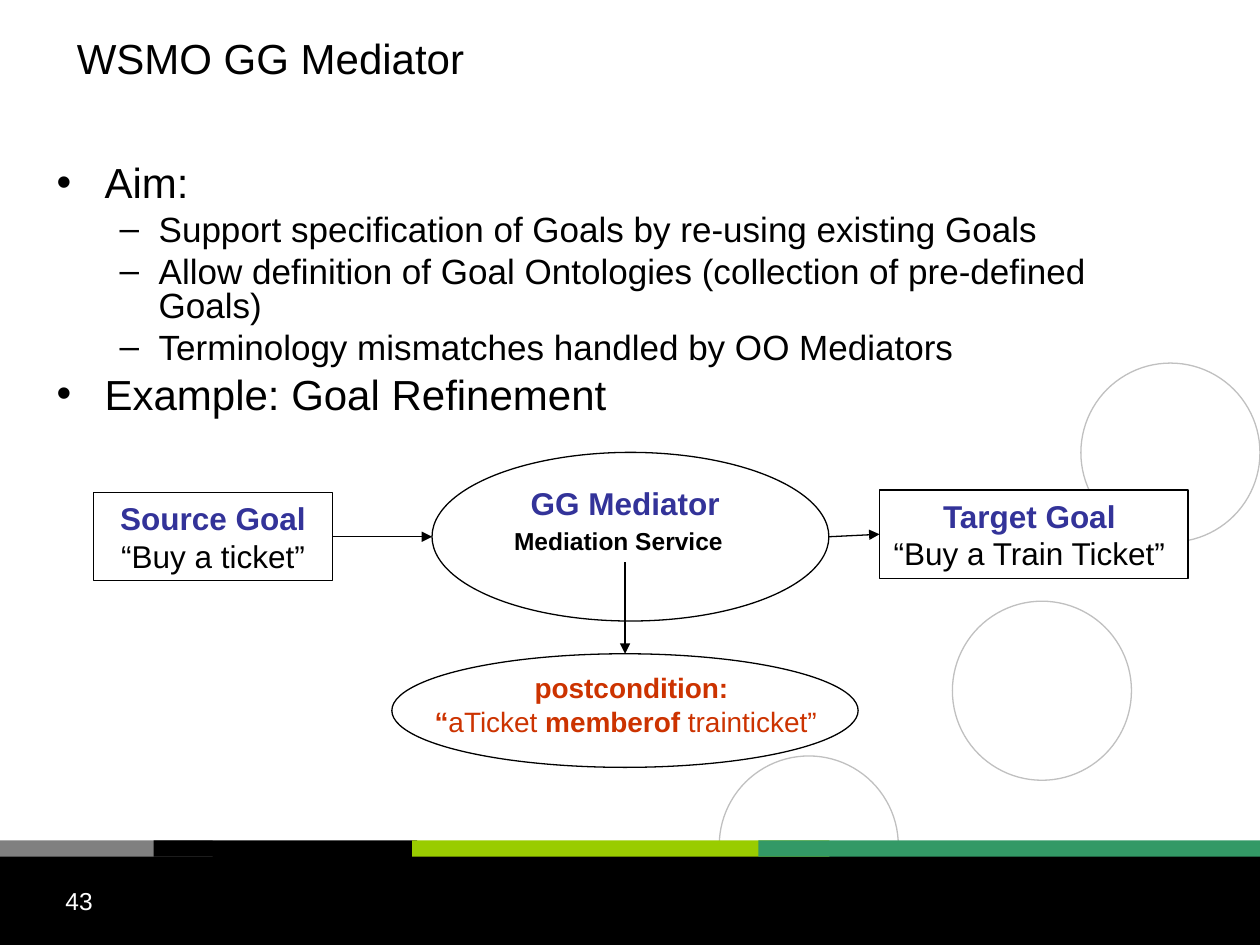
import dataclasses

import lxml.etree
import pptx
import pptx.dml.color
import pptx.enum.shapes
import pptx.enum.text
import pptx.oxml.ns
import pptx.util

Cm = pptx.util.Cm
Pt = pptx.util.Pt
SHAPE = pptx.enum.shapes.MSO_SHAPE
ALIGN = pptx.enum.text.PP_ALIGN
ANCHOR = pptx.enum.text.MSO_ANCHOR


@dataclasses.dataclass(frozen=True)
class Theme:
    """Colours and type sizes of the slide."""
    font: str = "Arial"
    black: str = "000000"
    white: str = "FFFFFF"
    silver: str = "C0C0C0"
    gray: str = "808080"
    lime: str = "99CC00"
    green: str = "339966"
    blue: str = "333399"
    red: str = "CC3300"
    heading: int = 24
    bullet: int = 20
    label: int = 18
    condition: int = 16
    small: int = 14
    line: float = 0.75


def color(value):
    """Turn a hex string into a colour."""
    return pptx.dml.color.RGBColor.from_string(value)


def add_element(parent, tag, **attributes):
    """Append a DrawingML element to its parent."""
    return lxml.etree.SubElement(parent, pptx.oxml.ns.qn(tag), attributes)


class SlideBuilder:
    """Draws styled elements on the current slide."""

    def __init__(self, slide, theme):
        self.slide = slide
        self.theme = theme

    def shape(self, kind, left, top, width, height, fill=None, line=None):
        """Add a preset shape with optional fill and outline."""
        shape = self.slide.shapes.add_shape(kind, Cm(left), Cm(top), Cm(width), Cm(height))
        shape.shadow.inherit = False
        if fill:
            shape.fill.solid()
            shape.fill.fore_color.rgb = color(fill)
        else:
            shape.fill.background()
        if line:
            shape.line.color.rgb = color(line)
            shape.line.width = Pt(self.theme.line)
        else:
            shape.line.fill.background()
        return shape

    def text_box(self, left, top, width, height, inset=0.25, anchor=ANCHOR.TOP):
        """Add an empty wrapping text box."""
        box = self.slide.shapes.add_textbox(Cm(left), Cm(top), Cm(width), Cm(height))
        self.frame(box, inset, anchor)
        return box

    def frame(self, box, inset=0.25, anchor=ANCHOR.TOP, wrap=True):
        """Set the text frame properties of a box."""
        frame = box.text_frame
        frame.word_wrap = wrap
        frame.vertical_anchor = anchor
        frame.margin_left = frame.margin_right = Cm(inset)
        frame.margin_top = frame.margin_bottom = Cm(0.13)

    def para(self, box, text, size, ink=None, bold=False, align=ALIGN.LEFT, before=0):
        """Write the next paragraph, from a string or (text, bold) spans."""
        frame = box.text_frame
        first = not frame.paragraphs[0].runs
        para = frame.paragraphs[0] if first else frame.add_paragraph()
        para.alignment = align
        if before and not first:
            para.space_before = Pt(before)
        para.font.name = self.theme.font
        para.font.size = Pt(size)
        para.font.color.rgb = color(ink or self.theme.black)
        if isinstance(text, str):
            para.font.bold = bold
            para.add_run().text = text
        else:
            for words, strong in text:
                span = para.add_run()
                span.text = words
                span.font.bold = strong
        return para

    def bullets(self, box, items):
        """Write (level, text) items as a two-level bullet list."""
        styles = ((self.theme.heading, 6, "•", 0.97, 0.97),
                  (self.theme.bullet, 5, "–", 2.06, 0.79))
        for index, (level, text) in enumerate(items):
            size, before, mark, margin, hanging = styles[level]
            frame = box.text_frame
            para = frame.add_paragraph() if index else frame.paragraphs[0]
            para.level = level
            properties = para._p.get_or_add_pPr()
            properties.set("marL", str(Cm(margin)))
            properties.set("indent", str(-Cm(hanging)))
            add_element(add_element(properties, "a:buClr"), "a:srgbClr", val=self.theme.black)
            add_element(properties, "a:buFont", typeface=self.theme.font)
            add_element(properties, "a:buChar", char=mark)
            para.line_spacing = 0.8
            if index:
                para.space_before = Pt(before)
            para.font.name = self.theme.font
            para.font.size = Pt(size)
            para.font.color.rgb = color(self.theme.black)
            para.add_run().text = text

    def goal(self, left, top, width, name, quote, wrap=True):
        """Add a goal rectangle with its name and quoted wish."""
        theme = self.theme
        box = self.shape(SHAPE.RECTANGLE, left, top, width, 1.78, theme.white, theme.black)
        self.frame(box, wrap=wrap)
        self.para(box, name, theme.label, theme.blue, True, ALIGN.CENTER)
        self.para(box, quote, theme.label, align=ALIGN.CENTER)
        return box

    def arrow(self, start, end, source=None, target=None):
        """Add an arrow, joined to a source's right or a target's left side."""
        connector = self.slide.shapes.add_connector(
            pptx.enum.shapes.MSO_CONNECTOR.STRAIGHT, *map(Cm, start + end))
        if source is not None:
            connector.begin_connect(source, 3)
        if target is not None:
            connector.end_connect(target, 1)
        connector.line.color.rgb = color(self.theme.black)
        connector.line.width = Pt(self.theme.line)
        properties = connector._element.spPr
        add_element(properties.find(pptx.oxml.ns.qn("a:ln")), "a:tailEnd", type="triangle")
        add_element(properties, "a:effectLst")


def main():
    """Build the mediator slide and save it."""
    theme = Theme()
    deck = pptx.Presentation()
    deck.slide_width, deck.slide_height = Cm(25.4), Cm(19.05)
    page = SlideBuilder(deck.slides.add_slide(deck.slide_layouts[6]), theme)

    for left, top in ((14.5, 15.24), (19.2, 12.12), (21.79, 7.32)):
        page.shape(SHAPE.OVAL, left, top, 3.61, 3.61, line=theme.silver)
    page.shape(SHAPE.RECTANGLE, 0, 17.15, 25.4, 1.9, theme.black)
    for left, width, fill in ((0, 4.29, theme.gray), (3.1, 5.31, theme.black),
                              (8.31, 8.41, theme.lime), (15.29, 10.11, theme.green)):
        page.shape(SHAPE.RECTANGLE, left, 16.94, width, 0.33, fill)
    number = page.text_box(1.07, 17.73, 5.9, 1.32)
    page.para(number, "43", theme.small, theme.white)

    title = page.text_box(1.3, 0, 19.89, 2.34, anchor=ANCHOR.MIDDLE)
    page.para(title, "WSMO GG Mediator", theme.heading)
    body = page.text_box(0.89, 3.23, 22.83, 5.99)
    page.bullets(body, (
        (0, "Aim:"),
        (1, "Support specification of Goals by re-using existing Goals"),
        (1, "Allow definition of Goal Ontologies (collection of pre-defined Goals)"),
        (1, "Terminology mismatches handled by OO Mediators"),
        (0, "Example: Goal Refinement"),
    ))

    page.shape(SHAPE.OVAL, 8.71, 9.12, 8, 3.4, theme.white, theme.black)
    mediator = page.text_box(9.86, 9.63, 5.49, 1.7)
    page.para(mediator, "GG Mediator", theme.label, theme.blue, True, ALIGN.CENTER)
    service = page.para(mediator, "Mediation Service", theme.small, bold=True,
                        align=ALIGN.CENTER, before=2.3)
    service._p.get_or_add_pPr().set("marR", str(Cm(0.27)))

    source = page.goal(1.88, 9.93, 4.83, "Source Goal", "“Buy a ticket”")
    target = page.goal(17.73, 9.88, 6.22, "Target Goal ", "“Buy a Train Ticket” ", wrap=False)
    page.arrow((6.71, 10.82), (8.71, 10.82), source=source)
    page.arrow((16.71, 10.82), (17.73, 10.77), target=target)

    page.shape(SHAPE.OVAL, 7.9, 13.18, 9.4, 2.29, theme.white, theme.black)
    condition = page.text_box(8.71, 13.39, 8.2, 2.29, inset=0.05)
    page.para(condition, "postcondition: ", theme.condition, theme.red, True, ALIGN.CENTER)
    page.para(condition, (("“", True), ("aTicket ", False), ("memberof ", True),
                          ("trainticket”", False)), theme.condition, theme.red)
    page.arrow((12.6, 11.33), (12.6, 13.18))

    deck.save("out.pptx")


if __name__ == "__main__":
    main()
